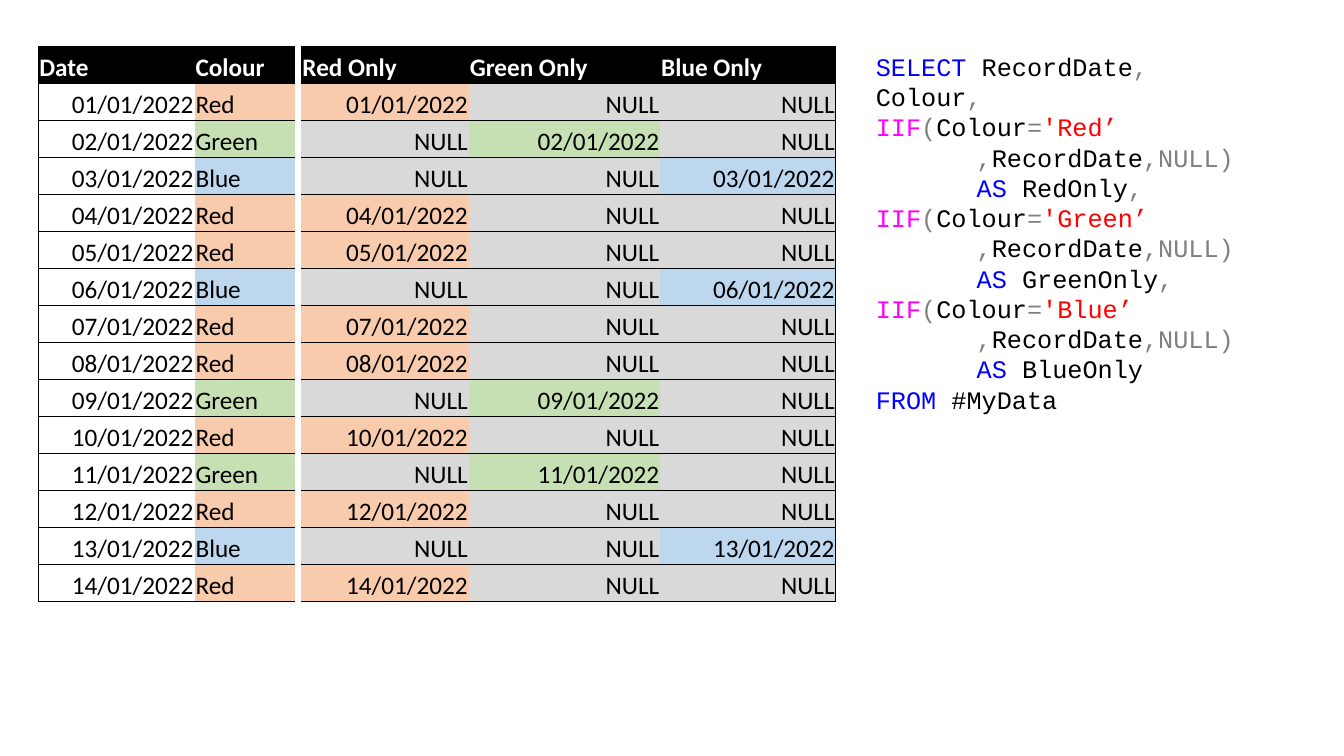
from lxml.etree import SubElement
from pptx import Presentation
from pptx.dml.color import RGBColor
from pptx.enum.text import MSO_ANCHOR, PP_ALIGN
from pptx.oxml.ns import qn
from pptx.util import Inches, Pt

COLORS = {
    "black": "000000", "white": "FFFFFF", "empty": "D9D9D9",
    "Red": "F8CBAD", "Green": "C6E0B4", "Blue": "BDD7EE",
    "keyword": "0000FF", "function": "FF00FF", "symbol": "808080", "string": "FF0000",
}
RECORD_COLOURS = ("Red Green Blue Red Red Blue Red Red "
                  "Green Red Green Red Blue Red").split()
NAMES = ["Red", "Green", "Blue"]
TOP, ROW_HEIGHT = 6.13, 4.9


def rgb(name):
    return RGBColor.from_string(COLORS[name])


def add_text(p, text, font="Calibri", size=18, color="black", bold=False):
    r = p.add_run()
    r.text = text
    r.font.name, r.font.size, r.font.bold = font, Pt(size), bold
    r.font.color.rgb = rgb(color)


class SlideBuilder:
    """Places elements on a grid of 100 columns by 100 rows."""

    def __init__(self, prs):
        self.col, self.row = prs.slide_width / 100, prs.slide_height / 100
        self.s = prs.slides.add_slide(prs.slide_layouts[6])

    def box(self, left, top, width, height):
        return [round(n * unit) for n, unit in
                zip((left, top, width, height), (self.col, self.row) * 2)]

    def borders(self, cell, sides):
        """Draw thin lines on the sides named by letter and clear the others."""
        tcPr = cell._tc.get_or_add_tcPr()
        for side in "LRTB":
            ln = SubElement(tcPr, qn(f"a:ln{side}"), w=str(Pt(0.5)))
            if side in sides:
                fill = SubElement(ln, qn("a:solidFill"))
                SubElement(fill, qn("a:srgbClr"), val=COLORS["black"])
            else:
                SubElement(ln, qn("a:noFill"))

    def cell(self, cell, text, fill, sides, right=False, **style):
        cell.margin_left = cell.margin_right = cell.margin_top = Inches(0.01)
        cell.margin_bottom = 0
        cell.vertical_anchor = MSO_ANCHOR.BOTTOM
        self.borders(cell, sides)
        if fill:
            cell.fill.solid()
            cell.fill.fore_color.rgb = rgb(fill)
        else:
            cell.fill.background()
        p = cell.text_frame.paragraphs[0]
        p.alignment = PP_ALIGN.RIGHT if right else PP_ALIGN.LEFT
        add_text(p, text, **style)

    def table(self, left, widths, headers, rows, sides):
        """Rows hold (text, fill, right-aligned) cells; sides are per column."""
        box = self.box(left, TOP, sum(widths), ROW_HEIGHT * (len(rows) + 1))
        table = self.s.shapes.add_table(len(rows) + 1, len(widths), *box).table
        table.horz_banding = False
        for column, width in zip(table.columns, widths):
            column.width = round(width * self.col)
        for row in table.rows:
            row.height = round(ROW_HEIGHT * self.row)
        for c, header in enumerate(headers):
            self.cell(table.cell(0, c), header, "black", sides[c],
                      color="white", bold=True)
            for r, row in enumerate(rows, 1):
                text, fill, right = row[c]
                self.cell(table.cell(r, c), text, fill, sides[c], right)

    def code(self, left, top, width, height, lines):
        tf = self.s.shapes.add_textbox(*self.box(left, top, width, height)).text_frame
        tf.word_wrap = True
        for i, line in enumerate(lines):
            p = tf.add_paragraph() if i else tf.paragraphs[0]
            if line[0][0] == "\t":
                tabs = SubElement(p._p.get_or_add_pPr(), qn("a:tabLst"))
                SubElement(tabs, qn("a:tab"), pos=str(Inches(1)), algn="l")
            for text, color in line:
                add_text(p, text, font="Courier New", color=color)


def query_lines():
    lines = [[("SELECT ", "keyword"), ("RecordDate", "black"), (",", "symbol"),
              (" Colour", "black"), (",", "symbol")]]
    for name in NAMES:
        lines += [
            [("IIF", "function"), ("(", "symbol"), ("Colour", "black"),
             ("=", "symbol"), (f"'{name}’", "string")],
            [("\t", "black"), (",", "symbol"), ("RecordDate", "black"),
             (",NULL)", "symbol")],
            [("\t", "black"), ("AS ", "keyword"), (f"{name}Only", "black")],
        ]
        if name != NAMES[-1]:
            lines[-1].append((",", "symbol"))
    return lines + [[("FROM", "keyword"), (" #MyData", "black")]]


def main():
    prs = Presentation()
    prs.slide_width, prs.slide_height = Inches(13.33), Inches(7.5)
    slide = SlideBuilder(prs)

    records = [(f"{day:02}/01/2022", colour)
               for day, colour in enumerate(RECORD_COLOURS, 1)]
    slide.table(2.85, [11.63, 7.5], ["Date", "Colour"],
                [[(date, None, True), (colour, colour, False)]
                 for date, colour in records],
                ["LTB", "TB"])
    slide.code(64.43, TOP, 29.93, 45.73, query_lines())
    slide.table(22.43, [12.45, 14.25, 13.05], [f"{name} Only" for name in NAMES],
                [[(date, name, True) if name == colour else ("NULL", "empty", True)
                  for name in NAMES] for date, colour in records],
                ["TB", "TB", "RTB"])
    prs.save("out.pptx")


if __name__ == "__main__":
    main()
